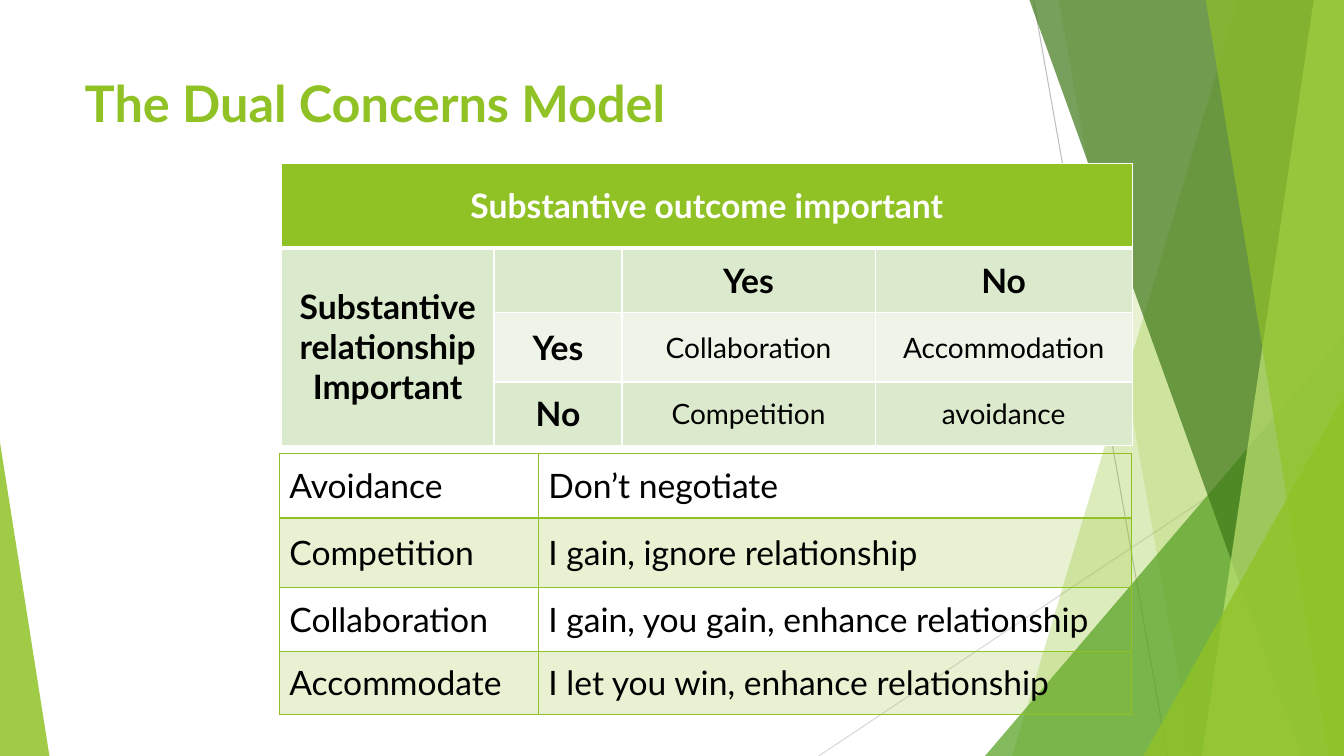
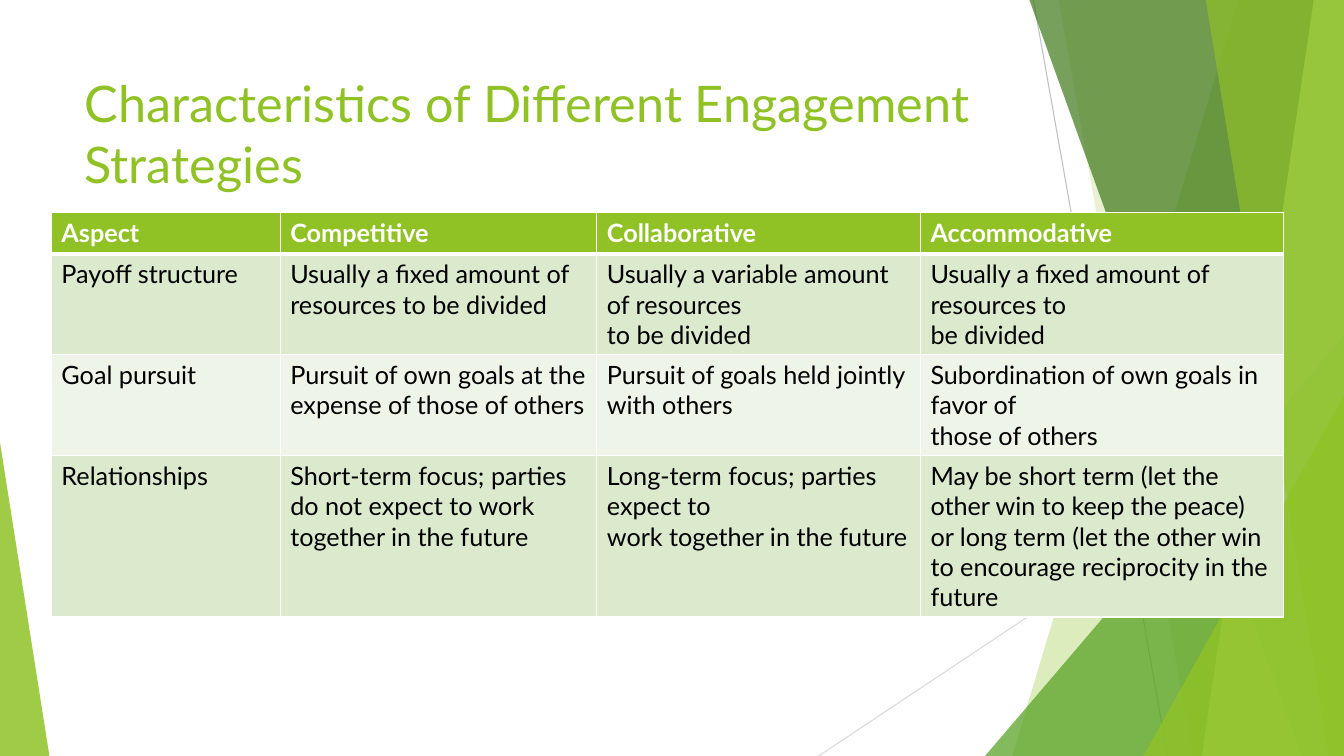
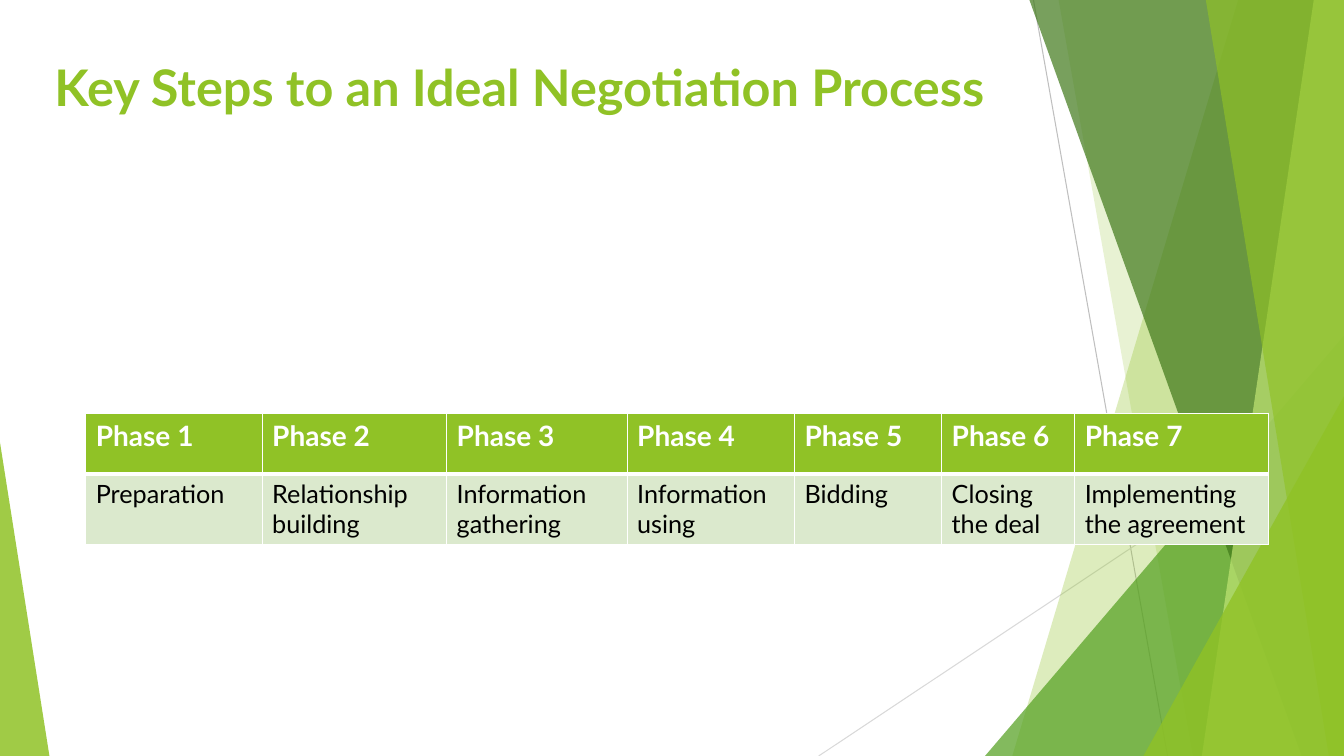
from lxml.etree import SubElement
from pptx import Presentation
from pptx.dml.color import RGBColor
from pptx.enum.shapes import MSO_CONNECTOR, MSO_SHAPE
from pptx.enum.text import MSO_ANCHOR as Anchor, MSO_AUTO_SIZE as AutoSize, PP_ALIGN as Align
from pptx.oxml import parse_xml
from pptx.oxml.ns import nsdecls, qn
from pptx.util import Inches, Pt

FONT = "Lato"
RIGHT, BOTTOM = 13.33, 7.5
COLORS = {
    "leaf": "90C226", "grass": "54A021", "forest": "3F7819", "lime": "C0E474",
    "sage": "DBE9CD", "mist": "EEF4E8", "silver": "BFBFBF", "pale": "D9D9D9",
    "white": "FFFFFF", "black": "000000",
}


def write(frame, text, size=18, color="black", bold=False, align=Align.LEFT):
    """Fill a text frame, one paragraph for each line of text."""
    frame.text = text
    for para in frame.paragraphs:
        para.alignment = align
        for span in para.runs:
            span.font.name = FONT
            span.font.size = Pt(size)
            span.font.bold = bold
            span.font.color.rgb = RGBColor.from_string(COLORS[color])


def paint(fill, color, opacity=100):
    """Set a solid fill, see-through below 100; no colour means no fill."""
    if color is None:
        fill.background()
        return
    fill.solid()
    fill.fore_color.rgb = RGBColor.from_string(COLORS[color])
    if opacity < 100:
        solid = fill._xPr.find(qn("a:solidFill"))
        SubElement(solid[0], qn("a:alpha"), val=str(opacity * 1000))


deck = Presentation()
deck.slide_width, deck.slide_height = Inches(RIGHT), Inches(BOTTOM)
layout = deck.slide_layouts[5]

# Shared title box
for holder in list(layout.placeholders):
    if holder.placeholder_format.idx > 0:
        holder.element.getparent().remove(holder.element)
title_box = layout.placeholders[0]
title_box.left, title_box.top = Inches(0.74), Inches(0.67)
title_box.width, title_box.height = Inches(9.4), Inches(1.44)
title_box.text_frame.vertical_anchor = Anchor.TOP
title_box.text_frame.auto_size = AutoSize.NONE

titles = [
    ("The Dual Concerns Model", True),
    ("Characteristics of Different Engagement Strategies", False),
    ("Key Steps to an Ideal Negotiation Process", True),
]
pages = []
for title, bold in titles:
    page = deck.slides.add_slide(layout)
    write(page.shapes.title.text_frame, title, size=36, color="leaf", bold=bold)
    pages.append(page)
steps_title = pages[2].shapes.title
steps_title.left, steps_title.top = Inches(0.44), Inches(0.51)
steps_title.width, steps_title.height = Inches(12.56), Inches(0.88)

# Shared backdrop: drawn with the slide tools, then moved to the layout
shapes = pages[0].shapes
backdrop = []
for color, *ends in [("silver", 10.25, 0, 11.58, BOTTOM), ("pale", RIGHT, 4.03, 8.12, BOTTOM)]:
    ray = shapes.add_connector(MSO_CONNECTOR.STRAIGHT, *map(Inches, ends))
    ray.line.color.rgb = RGBColor.from_string(COLORS[color])
    ray.line.width = Pt(0.75)
    SubElement(ray.element.spPr, qn("a:effectLst"))
    backdrop.append(ray)

# Bands: top x, bottom x, reaching the right edge.
# Triangles: left, top, width, apex, standing on the bottom edge.
facets = [
    ("band", "leaf", 30, (12.28, 10.04)),
    ("band", "leaf", 20, (10.5, 11.83)),
    ("triangle", "grass", 72, (9.77, 3.33, 3.56, 1)),
    ("band", "forest", 70, (10.21, 12.91)),
    ("band", "lime", 70, (13.03, 11.92)),
    ("band", "leaf", 65, (11.96, 13.18)),
    ("triangle", "leaf", 80, (11.34, 3.93, 1.99, 1)),
    ("triangle", "leaf", 85, (0, 4.39, 0.49, 0)),
]
for kind, color, opacity, place in facets:
    if kind == "band":
        top_x, bottom_x = place
        outline = shapes.build_freeform(Inches(top_x), 0)
        corners = [(RIGHT, 0), (RIGHT, BOTTOM), (bottom_x, BOTTOM)]
        outline.add_line_segments([(Inches(x), Inches(y)) for x, y in corners])
        facet = outline.convert_to_shape()
    else:
        left, top, width, apex = place
        facet = shapes.add_shape(MSO_SHAPE.ISOSCELES_TRIANGLE, Inches(left), Inches(top),
                                 Inches(width), Inches(BOTTOM - top))
        facet.adjustments[0] = apex
    paint(facet.fill, color, opacity)
    facet.line.fill.background()
    facet.shadow.inherit = False
    backdrop.append(facet)
for depth, shape in enumerate(backdrop, start=2):
    layout.shapes.element.insert(depth, shape.element)

# Tables: labels counts the label rows and columns, sizes gives label and body text
green = {"header": ("leaf",), "header_text": "white", "border": "white", "rule": 3,
         "bands": [("sage",), ("mist",)], "align": Align.LEFT, "anchor": Anchor.TOP}
outlined = {**green, "header": (None,), "header_text": "black", "border": "leaf", "rule": 2,
            "bands": [("leaf", 20), (None,)], "anchor": Anchor.MIDDLE}
centred = {**green, "align": Align.CENTER, "anchor": Anchor.MIDDLE}

tables = [
    {**centred, "page": 0, "at": (2.79, 1.62), "labels": (2, 2), "sizes": (24, 20),
     "columns": [2.11, 1.27, 2.51, 2.55], "rows": [0.84, 0.64, 0.69, 0.63],
     "merges": [(0, 0, 0, 3), (1, 0, 3, 0)],
     "texts": [
         ["Substantive outcome important", "", "", ""],
         ["Substantive relationship Important", "", "Yes", "No"],
         ["", "Yes", "Collaboration", "Accommodation"],
         ["", "No", "Competition", "avoidance"]]},
    {**outlined, "page": 0, "at": (2.77, 4.5), "labels": (0, 0), "sizes": (24, 24),
     "columns": [2.57, 5.88], "rows": [0.64, 0.69, 0.63, 0.63], "merges": [],
     "texts": [
         ["Avoidance", "Don’t negotiate"],
         ["Competition", "I gain, ignore relationship"],
         ["Collaboration", "I gain, you gain, enhance relationship"],
         ["Accommodate", "I let you win, enhance relationship"]]},
    {**green, "page": 1, "at": (0.51, 2.11), "labels": (1, 0), "sizes": (18, 18),
     "columns": [2.27, 3.14, 3.21, 3.6], "rows": [0.41, 1, 1, 1.6], "merges": [],
     "texts": [
         ["Aspect", "Competitive", "Collaborative", "Accommodative"],
         ["Payoff structure",
          "Usually a fixed amount of resources to be divided",
          "Usually a variable amount of resources\nto be divided",
          "Usually a fixed amount of resources to\nbe divided"],
         ["Goal pursuit",
          "Pursuit of own goals at the expense of those of others",
          "Pursuit of goals held jointly with others",
          "Subordination of own goals in favor of\nthose of others"],
         ["Relationships",
          "Short-term focus; parties do not expect to work together in the future",
          "Long-term focus; parties expect to\nwork together in the future",
          "May be short term (let the other win to keep the peace) or long term "
          "(let the other win to encourage reciprocity in the future"]]},
    {**green, "page": 2, "at": (0.85, 4.1), "labels": (1, 0), "sizes": (20, 18),
     "columns": [1.75, 1.83, 1.79, 1.66, 1.46, 1.32, 1.92], "rows": [0.6, 0.7], "merges": [],
     "texts": [
         [f"Phase {number}" for number in range(1, 8)],
         ["Preparation", "Relationship building", "Information gathering",
          "Information using", "Bidding", "Closing the deal", "Implementing the agreement"]]},
]
for plan in tables:
    columns, rows = plan["columns"], plan["rows"]
    left, top = plan["at"]
    grid = pages[plan["page"]].shapes.add_table(
        len(rows), len(columns), Inches(left), Inches(top),
        Inches(sum(columns)), Inches(sum(rows))).table
    grid.first_row = grid.horz_banding = False
    for column, width in zip(grid.columns, columns):
        column.width = Inches(width)
    for row, height in zip(grid.rows, rows):
        row.height = Inches(height)
    label_rows, label_columns = plan["labels"]
    label_size, body_size = plan["sizes"]
    for r, line in enumerate(plan["texts"]):
        for c, text in enumerate(line):
            cell = grid.cell(r, c)
            label = r < label_rows or c < label_columns
            write(cell.text_frame, text, size=label_size if label else body_size, bold=label,
                  color="black" if r else plan["header_text"], align=plan["align"])
            cell.vertical_anchor = plan["anchor"]
            paint(cell.fill, *(plan["bands"][(r - 1) % 2] if r else plan["header"]))
            widths = {"L": 1, "R": 1, "T": plan["rule"] if r == 1 else 1,
                      "B": plan["rule"] if r == 0 else 1}
            for order, (side, points) in enumerate(widths.items()):
                cell._tc.get_or_add_tcPr().insert(order, parse_xml(
                    f'<a:ln{side} {nsdecls("a")} w="{Pt(points)}"><a:solidFill>'
                    f'<a:srgbClr val="{COLORS[plan["border"]]}"/></a:solidFill></a:ln{side}>'))
    for first_row, first_column, last_row, last_column in plan["merges"]:
        grid.cell(first_row, first_column).merge(grid.cell(last_row, last_column))

deck.save("out.pptx")
